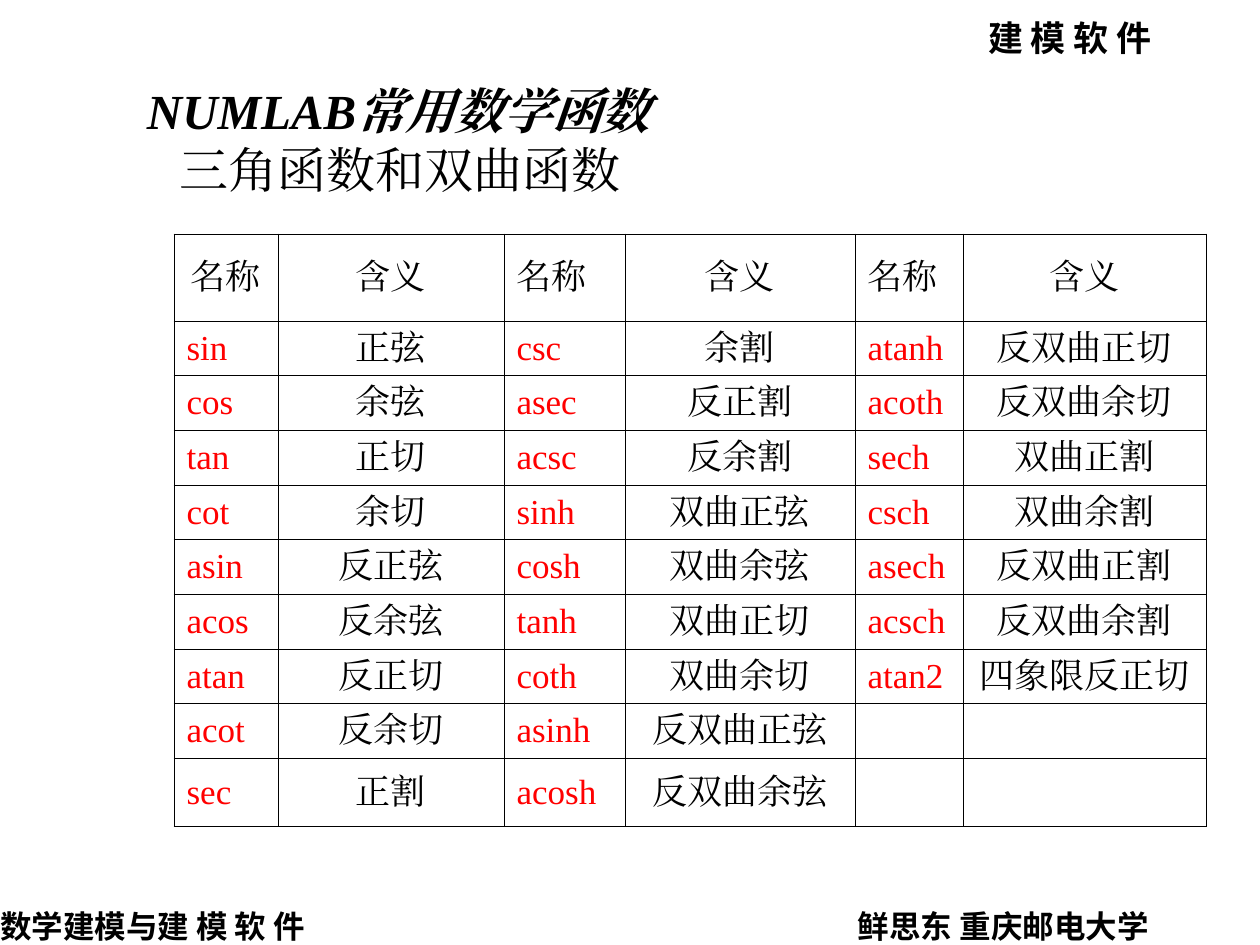
"""Build a slide listing the trigonometric and hyperbolic functions."""
from dataclasses import dataclass
from typing import NamedTuple

from pptx import Presentation
from pptx import util as u
from pptx.dml.color import RGBColor
from pptx.enum import shapes, text
from pptx.oxml import parse_xml
from pptx.oxml.ns import nsdecls, qn

COLORS = {"ink": "000000", "name": "FF0000", "paper": "FFFFFF"}
SERIF = "Times New Roman"
PX_PER_INCH = 126
COLUMN_WIDTHS = (104, 226, 121, 230, 108, 243)
BODY_ROWS = 9
ROW_HEIGHTS = (87, *[437 / 8] * 8, 68)


class Function(NamedTuple):
    name: str
    meaning: str


class Line(NamedTuple):
    words: str
    size: int
    font: str
    bold: bool = False
    italic: bool = False
    indent: int = 0


@dataclass
class Label:
    left: int
    top: int
    width: int
    height: int
    lines: tuple[Line, ...]
    inset_x: int = 0
    inset_y: int = 0
    anchor: text.MSO_ANCHOR = text.MSO_ANCHOR.TOP
    fill: str = ""


LABELS = (
    Label(988, 16, 220, 42, (Line("建 模 软 件", 20, "Noto Sans CJK SC", True),), fill="paper"),
    Label(0, 907, 362, 38, (Line("数学建模与建 模 软 件", 18, "Noto Sans CJK JP", True),)),
    Label(858, 907, 362, 38, (Line("鲜思东 重庆邮电大学", 18, "Noto Sans CJK SC", True),)),
    Label(
        134, 74, 724, 131,
        (
            Line("NUMLAB常用数学函数", 28, SERIF, True, True),
            Line("三角函数和双曲函数", 28, SERIF, indent=33),
        ),
        13, 6, text.MSO_ANCHOR.MIDDLE,
    ),
)

FUNCTIONS = (
    Function("sin", "正弦"), Function("cos", "余弦"), Function("tan", "正切"),
    Function("cot", "余切"), Function("asin", "反正弦"), Function("acos", "反余弦"),
    Function("atan", "反正切"), Function("acot", "反余切"), Function("sec", "正割"),
    Function("csc", "余割"), Function("asec", "反正割"), Function("acsc", "反余割"),
    Function("sinh", "双曲正弦"), Function("cosh", "双曲余弦"), Function("tanh", "双曲正切"),
    Function("coth", "双曲余切"), Function("asinh", "反双曲正弦"), Function("acosh", "反双曲余弦"),
    Function("atanh", "反双曲正切"), Function("acoth", "反双曲余切"), Function("sech", "双曲正割"),
    Function("csch", "双曲余割"), Function("asech", "反双曲正割"), Function("acsch", "反双曲余割"),
    Function("atan2", "四象限反正切"),
)


def px(length: float) -> u.Emu:
    return u.Emu(round(length * 914400 / PX_PER_INCH))


def write(paragraph, line: Line, color: str, align=text.PP_ALIGN.LEFT) -> None:
    paragraph.text = line.words
    paragraph.alignment = align
    font = paragraph.font
    font.size, font.bold, font.italic = u.Pt(line.size), line.bold, line.italic
    font.color.rgb = RGBColor.from_string(COLORS[color])
    font.name = line.font
    properties = paragraph._p.pPr
    properties.set("indent", str(px(line.indent)))
    latin = properties.find(qn("a:defRPr")).find(qn("a:latin"))
    latin.addnext(parse_xml(f'<a:ea {nsdecls("a")} typeface="{line.font}"/>'))


def draw_label(slide, label: Label) -> None:
    box = [px(side) for side in (label.left, label.top, label.width, label.height)]
    if label.fill:
        shape = slide.shapes.add_shape(shapes.MSO_SHAPE.RECTANGLE, *box)
        shape.shadow.inherit = False
        shape.fill.solid()
        shape.fill.fore_color.rgb = RGBColor.from_string(COLORS[label.fill])
        shape.line.fill.background()
    else:
        shape = slide.shapes.add_textbox(*box)
    frame = shape.text_frame
    frame.word_wrap = True
    frame.vertical_anchor = label.anchor
    frame.margin_left = frame.margin_right = px(label.inset_x)
    frame.margin_top = frame.margin_bottom = px(label.inset_y)
    for index, line in enumerate(label.lines):
        paragraph = frame.add_paragraph() if index else frame.paragraphs[0]
        write(paragraph, line, "ink")


def outline(cell) -> None:
    properties = cell._tc.get_or_add_tcPr()
    for side in ("lnL", "lnR", "lnT", "lnB"):
        properties.append(parse_xml(
            f'<a:{side} {nsdecls("a")} w="{u.Pt(0.45)}"><a:solidFill>'
            f'<a:srgbClr val="{COLORS["ink"]}"/></a:solidFill></a:{side}>'
        ))
    cell.fill.background()


def fill_cell(cell, words: str, color: str, centered: bool) -> None:
    cell.vertical_anchor = text.MSO_ANCHOR.MIDDLE
    align = text.PP_ALIGN.CENTER if centered else text.PP_ALIGN.LEFT
    write(cell.text_frame.paragraphs[0], Line(words, 20, SERIF), color, align)


def draw_functions(slide) -> None:
    table = slide.shapes.add_table(
        len(ROW_HEIGHTS), len(COLUMN_WIDTHS), px(174), px(234),
        px(sum(COLUMN_WIDTHS)), px(sum(ROW_HEIGHTS)),
    ).table
    table.first_row = table.horz_banding = False
    for column, width in zip(table.columns, COLUMN_WIDTHS):
        column.width = px(width)
    for row, height in zip(table.rows, ROW_HEIGHTS):
        row.height = px(height)
    for cell in table.iter_cells():
        outline(cell)
    for column in range(0, len(COLUMN_WIDTHS), 2):
        fill_cell(table.cell(0, column), "名称", "ink", column == 0)
        fill_cell(table.cell(0, column + 1), "含义", "ink", True)
    for index, function in enumerate(FUNCTIONS):
        group, row = divmod(index, BODY_ROWS)
        fill_cell(table.cell(row + 1, 2 * group), function.name, "name", False)
        fill_cell(table.cell(row + 1, 2 * group + 1), function.meaning, "ink", True)


def main() -> None:
    deck = Presentation()
    deck.slide_width, deck.slide_height = px(1260), px(945)
    slide = deck.slides.add_slide(deck.slide_layouts[6])
    for label in LABELS:
        draw_label(slide, label)
    draw_functions(slide)
    deck.save("out.pptx")


if __name__ == "__main__":
    main()
